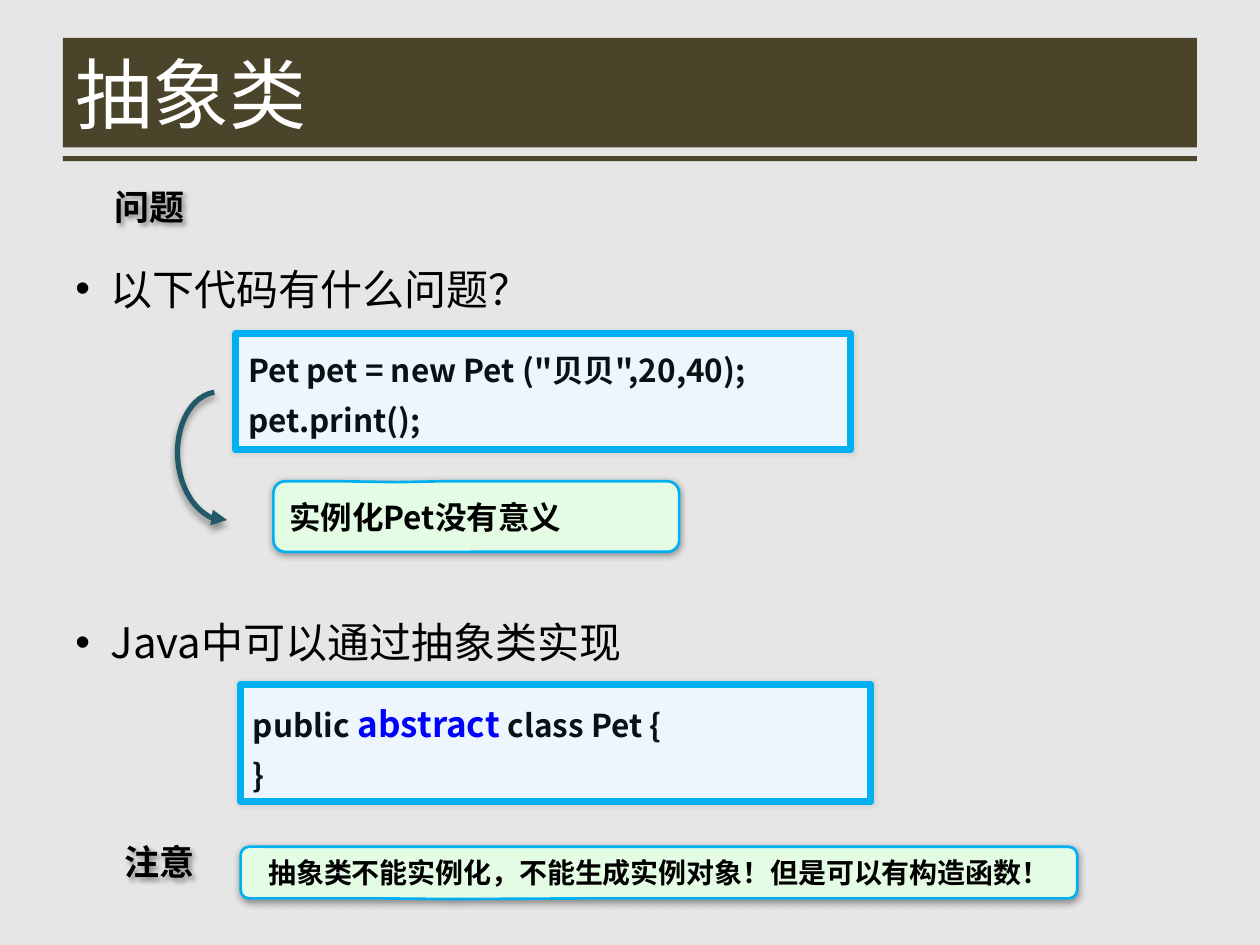
"""Builds the slide on abstract classes in Java."""
from lxml.etree import SubElement
from pptx import Presentation
from pptx.dml.color import RGBColor
from pptx.enum.shapes import MSO_SHAPE
from pptx.enum.text import MSO_ANCHOR, PP_ALIGN
from pptx.oxml.ns import qn
from pptx.util import Inches, Pt

FONT = "Noto Sans CJK SC"
BACKGROUND = RGBColor(0xE7, 0xE6, 0xE6)
OLIVE = RGBColor(0x4A, 0x45, 0x2A)
WHITE = RGBColor(0xFF, 0xFF, 0xFF)
BLACK = RGBColor(0, 0, 0)
INK = RGBColor(0x07, 0x12, 0x15)
KEYWORD = RGBColor(0, 0, 0xFF)
SKY = RGBColor(0x00, 0xB0, 0xF0)
PALE_BLUE = RGBColor(0xED, 0xF5, 0xFD)
PALE_GREEN = RGBColor(0xE4, 0xFC, 0xE4)
TEAL = RGBColor(0x21, 0x59, 0x68)

TITLE = "抽象类"
BARS = [(0.5, 0.3, 9, 0.87), (0.5, 1.24, 9, 0.04)]
HEADINGS = [("问题", (0.81, 1.42, 0.77, 0.44)), ("注意", (0.89, 6.62, 0.77, 0.44))]
BULLETS = [("以下代码有什么问题？", 0), ("Java中可以通过抽象类实现", 173)]
CODE_BOXES = [
    ((1.87, 2.65, 4.88, 0.92), [
        [("Pet pet = new Pet (\"贝贝\",20,40);", 18, INK)],
        [("pet.print();", 18, INK)],
    ]),
    ((1.91, 5.43, 5, 0.93), [
        [("public", 18, INK), (" abstract ", 20, KEYWORD), ("class Pet {", 18, INK)],
        [("}", 18, INK)],
    ]),
]
CALLOUTS = [
    ("实例化Pet没有意义", 18, (2.17, 3.82, 3.22, 0.56), (-0.193, -0.488, 0.167), 0.1),
    ("抽象类不能实例化，不能生成实例对象！但是可以有构造函数！", 16,
     (1.91, 6.72, 6.64, 0.41), (-0.248, 0.514, 0.167), 0.2),
]


def add_run(p, text, size, color, bold=False):
    r = p.add_run()
    r.text = text
    r.font.size, r.font.bold, r.font.name = Pt(size), bold, FONT
    r.font.color.rgb = color
    SubElement(r.font._element, qn("a:ea"), typeface=FONT)


def add_shadow(sp, opacity, blur, distance, angle):
    sp.shadow.inherit = False
    effects = sp._element.spPr.find(qn("a:effectLst"))
    shadow = SubElement(effects, qn("a:outerShdw"), blurRad=str(Pt(blur)),
                        dist=str(Pt(distance)), dir=str(angle * 60000),
                        algn="ctr", rotWithShape="0")
    color = SubElement(shadow, qn("a:srgbClr"), val="000000")
    SubElement(color, qn("a:alpha"), val=str(opacity * 1000))


def add_box(s, kind, box, fill, line=None, width=0, adjust=()):
    sp = s.shapes.add_shape(kind, *map(Inches, box))
    sp.shadow.inherit = False
    if fill is None:
        sp.fill.background()
    else:
        sp.fill.solid()
        sp.fill.fore_color.rgb = fill
    if line is None:
        sp.line.fill.background()
    else:
        sp.line.color.rgb = line
        sp.line.width = Pt(width)
    for i, value in enumerate(adjust):
        sp.adjustments[i] = value
    return sp


def add_title(s):
    title = s.shapes.title
    title.left, title.top, title.width, title.height = map(Inches, BARS[0])
    tf = title.text_frame
    tf.vertical_anchor = MSO_ANCHOR.MIDDLE
    p = tf.paragraphs[0]
    p.alignment = PP_ALIGN.LEFT
    add_run(p, TITLE, 44, WHITE)
    for bar in BARS:
        sp = add_box(s, MSO_SHAPE.RECTANGLE, bar, OLIVE)
        title._element.addprevious(sp._element)


def add_bullets(s):
    tf = s.shapes.add_textbox(*map(Inches, (0.5, 2.04, 9, 4.66))).text_frame
    tf.word_wrap = True
    for i, (text, gap) in enumerate(BULLETS):
        p = tf.add_paragraph() if i else tf.paragraphs[0]
        p.space_before = Pt(gap)
        pPr = p._p.get_or_add_pPr()
        pPr.set("marL", str(Inches(0.28)))
        pPr.set("indent", str(-Inches(0.28)))
        SubElement(pPr, qn("a:buFont"), typeface="Arial")
        SubElement(pPr, qn("a:buChar"), char="•")
        add_run(p, text, 24, BLACK)


def add_code(s, box, lines):
    sp = add_box(s, MSO_SHAPE.ROUNDED_RECTANGLE, box, PALE_BLUE, SKY, 4, (0,))
    add_shadow(sp, 10, 3, 0, 0)
    tf = sp.text_frame
    tf.vertical_anchor = MSO_ANCHOR.TOP
    for i, runs in enumerate(lines):
        p = tf.add_paragraph() if i else tf.paragraphs[0]
        p.alignment = PP_ALIGN.LEFT
        p.line_spacing = 1.3
        for text, size, color in runs:
            add_run(p, text, size, color, True)


def add_callout(s, text, size, box, adjust, inset):
    sp = add_box(s, MSO_SHAPE.ROUNDED_RECTANGULAR_CALLOUT, box, PALE_GREEN, SKY, 1.5, adjust)
    add_shadow(sp, 40, 4, 1, 90)
    tf = sp.text_frame
    tf.margin_left = Inches(inset)
    tf.vertical_anchor = MSO_ANCHOR.MIDDLE
    p = tf.paragraphs[0]
    p.alignment = PP_ALIGN.LEFT
    add_run(p, text, size, BLACK, True)


def add_heading(s, text, box):
    sp = s.shapes.add_textbox(*map(Inches, box))
    add_shadow(sp, 40, 3, 2, 45)
    tf = sp.text_frame
    tf.word_wrap = False
    tf.vertical_anchor = MSO_ANCHOR.MIDDLE
    add_run(tf.paragraphs[0], text, 20, BLACK, True)


def add_curved_arrow(s):
    sp = add_box(s, MSO_SHAPE.ARC, (1.25, 3.27, 1.02, 0.7), None, TEAL, 3, (109.3, 0.18))
    sp.rotation = 85.5
    sp._element.spPr.find(qn("a:xfrm")).set("flipV", "1")
    SubElement(sp.line._get_or_add_ln(), qn("a:tailEnd"), type="triangle")
    add_shadow(sp, 40, 4, 3, 90)


def main():
    prs = Presentation()
    prs.slide_width, prs.slide_height = Inches(10), Inches(7.5)
    s = prs.slides.add_slide(prs.slide_layouts[5])
    s.background.fill.solid()
    s.background.fill.fore_color.rgb = BACKGROUND
    add_title(s)
    add_bullets(s)
    for code in CODE_BOXES:
        add_code(s, *code)
    for callout in CALLOUTS:
        add_callout(s, *callout)
    for heading in HEADINGS:
        add_heading(s, *heading)
    add_curved_arrow(s)
    prs.save("out.pptx")


if __name__ == "__main__":
    main()
